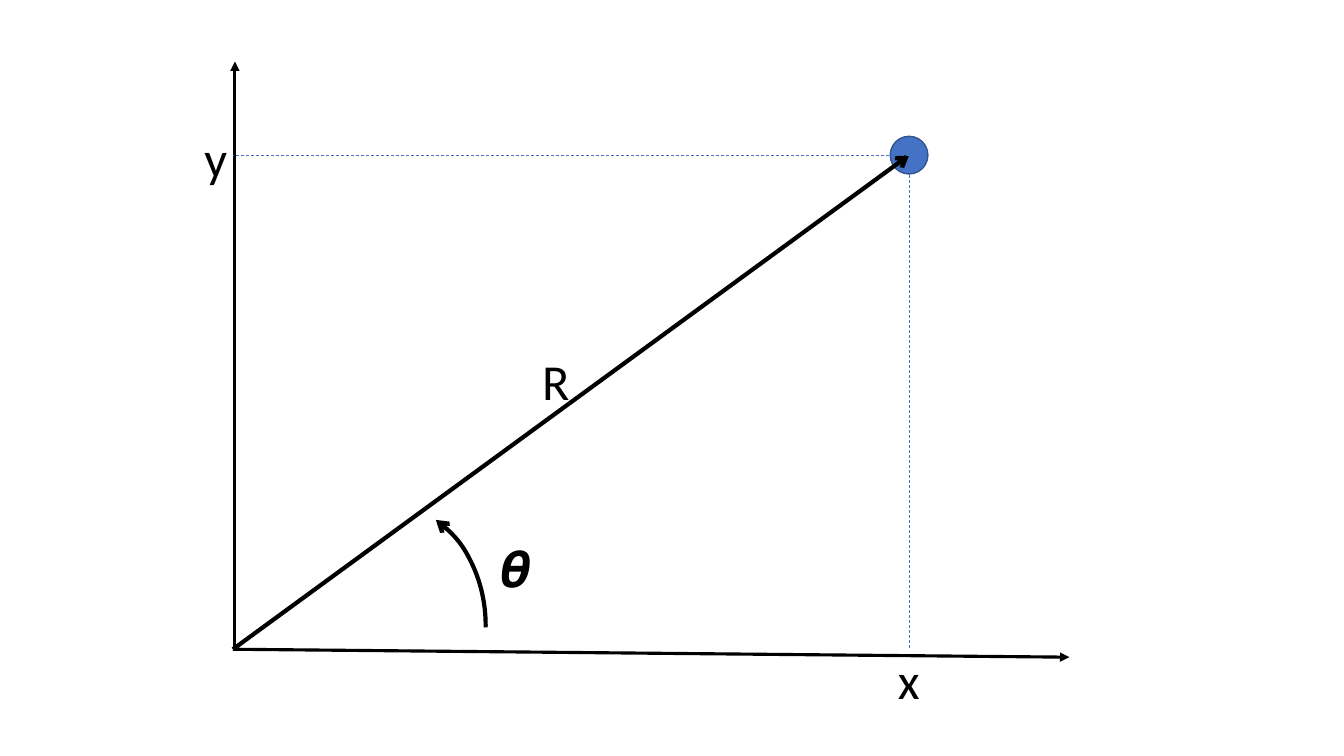
from lxml import etree
from pptx import Presentation
from pptx.dml.color import RGBColor
from pptx.enum.dml import MSO_LINE
from pptx.enum.shapes import MSO_CONNECTOR, MSO_SHAPE
from pptx.enum.text import MSO_AUTO_SIZE
from pptx.oxml.ns import qn
from pptx.util import Cm, Pt

STRAIGHT = MSO_CONNECTOR.STRAIGHT
OVAL, ARC = MSO_SHAPE.OVAL, MSO_SHAPE.ARC
DASH = MSO_LINE.DASH
FIT_SHAPE = MSO_AUTO_SIZE.SHAPE_TO_FIT_TEXT
BLANK_LAYOUT = 6
BLACK, BLUE, DARK_BLUE = "000000", "4472C4", "325491"


def color(hex_value):
    return RGBColor.from_string(hex_value)


def style_line(shape, hex_value, width, end=None, arrow=None):
    shape.line.color.rgb = color(hex_value)
    shape.line.width = Pt(width)
    if end:
        outline = shape.line._get_or_add_ln()
        etree.SubElement(outline, qn("a:" + end), type=arrow)


deck = Presentation()
deck.slide_width, deck.slide_height = Cm(33.87), Cm(19.05)
slide = deck.slides.add_slide(deck.slide_layouts[BLANK_LAYOUT])
shapes = slide.shapes

origin_x, origin_y = 5.87, 16.36
point_x, point_y = 22.91, 3.91
diameter = 0.95

point = shapes.add_shape(
    OVAL, Cm(point_x - diameter / 2), Cm(point_y - diameter / 2), Cm(diameter), Cm(diameter)
)
point.shadow.inherit = False
point.fill.solid()
point.fill.fore_color.rgb = color(BLUE)
style_line(point, DARK_BLUE, 1)

arrows = [
    (origin_x, origin_y, 26.95, 16.56, 2.25, "triangle"),
    (5.92, 16.33, 5.92, 1.55, 2.25, "triangle"),
    (origin_x, origin_y, point_x, point_y, 3, "arrow"),
]
guides = [
    (point_x, point_y, origin_x, point_y, 0.5, None),
    (point_x, point_y, point_x, origin_y, 0.5, None),
]
for x1, y1, x2, y2, width, arrow in arrows + guides:
    line = shapes.add_connector(STRAIGHT, Cm(x1), Cm(y1), Cm(x2), Cm(y2))
    if arrow:
        style_line(line, BLACK, width, "tailEnd", arrow)
    else:
        style_line(line, BLUE, width)
        line.line.dash_style = DASH
    etree.SubElement(line._element.spPr, qn("a:effectLst"))

labels = [
    ("x", 22.38, 16.23, 1.07),
    ("y", 4.9, 3.07, 1.09),
    ("R", 13.41, 8.71, 1.22),
    ("𝜽", 12.34, 13.41, 1.32),
]
label_font = {"name": "Calibri", "size": Pt(36)}
for text, left, top, width in labels:
    box = shapes.add_textbox(Cm(left), Cm(top), Cm(width), Cm(1.8))
    box.text_frame.word_wrap = False
    box.text_frame.auto_size = FIT_SHAPE
    span = box.text_frame.paragraphs[0].add_run()
    span.text = text
    for name, value in label_font.items():
        setattr(span.font, name, value)
    span.font.color.rgb = color(BLACK)

angle_arc = shapes.add_shape(ARC, Cm(7.26), Cm(12.7), Cm(4.98), Cm(6.12))
angle_arc.shadow.inherit = False
angle_arc.fill.background()
angle_arc.adjustments[0] = 176.95
angle_arc.adjustments[1] = 0.7
style_line(angle_arc, BLACK, 3, "headEnd", "arrow")

deck.save("out.pptx")
